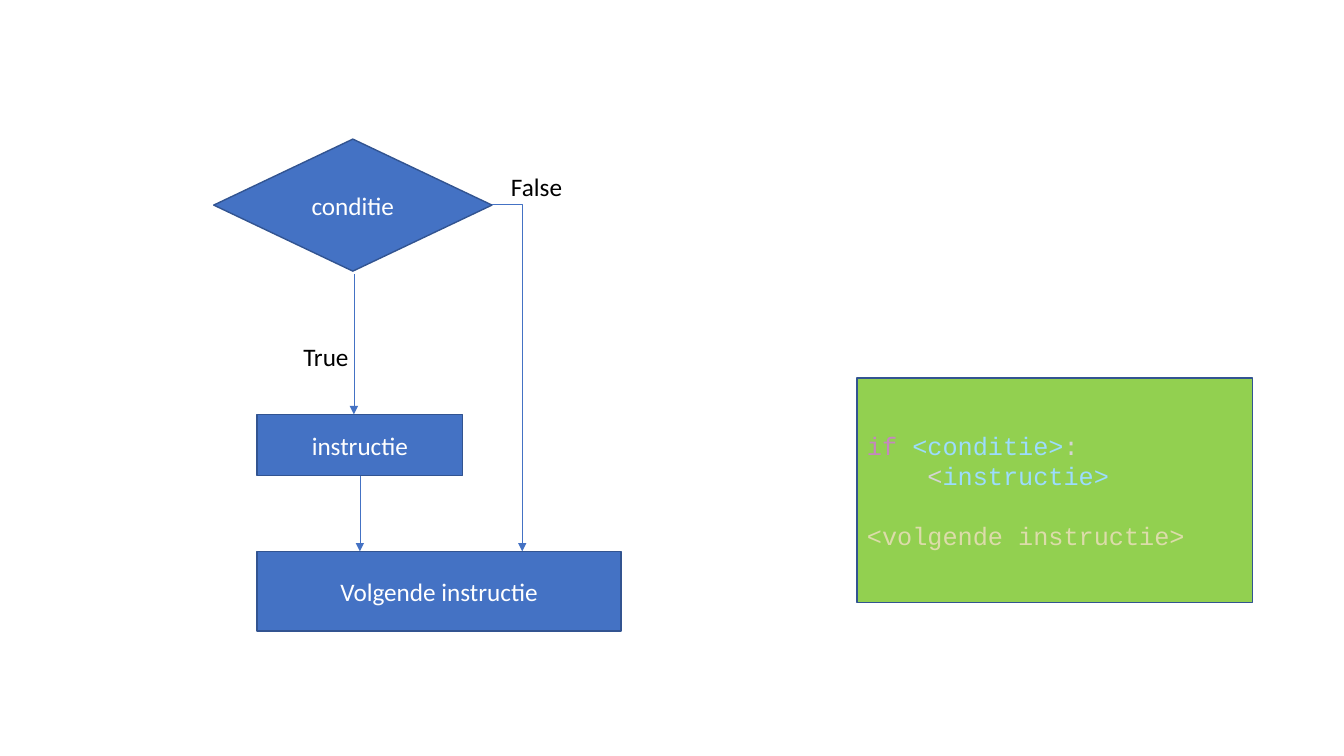
from pptx import Presentation
from pptx.dml.color import RGBColor
from pptx.enum.shapes import MSO_CONNECTOR as CONN, MSO_SHAPE as SHAPE
from pptx.enum.text import MSO_ANCHOR as ANCHOR, MSO_AUTO_SIZE as AUTO, PP_ALIGN as ALIGN
from pptx.oxml.ns import qn
from pptx.oxml.xmlchemy import OxmlElement
from pptx.util import Inches, Pt

BLUE = RGBColor(0x44, 0x72, 0xC4)
EDGE = RGBColor(0x32, 0x54, 0x91)
GREEN = RGBColor(0x92, 0xD0, 0x50)
WHITE = RGBColor(0xFF, 0xFF, 0xFF)
BLACK = RGBColor(0, 0, 0)
KEYWORD = RGBColor(0xC5, 0x86, 0xC0)
VARIABLE = RGBColor(0x9C, 0xDC, 0xFE)
PLAIN = RGBColor(0xD4, 0xD4, 0xD4)
FUNCTION = RGBColor(0xDC, 0xDC, 0xAA)

LINE_PITCH = Pt(21.4)
CODE = [
    (0, 0, [("if ", KEYWORD), ("<conditie>", VARIABLE), (":", PLAIN)]),
    (0.6, 0, [("<", PLAIN), ("instructie>", VARIABLE)]),
    (0, LINE_PITCH, [("<volgende instructie>", FUNCTION)]),
]


def set_font(p, name, color=None):
    """Give a paragraph its 18 point font and optional colour."""
    p.font.name, p.font.size = name, Pt(18)
    if color is not None:
        p.font.color.rgb = color


def add_block(slide, kind, left, top, width, height, fill=BLUE):
    """Add a filled, outlined shape and return it."""
    sp = slide.shapes.add_shape(kind, Inches(left), Inches(top), Inches(width), Inches(height))
    sp.shadow.inherit = False
    sp.fill.solid()
    sp.fill.fore_color.rgb = fill
    sp.line.color.rgb = EDGE
    sp.line.width = Pt(1)
    sp.text_frame.word_wrap = True
    sp.text_frame.vertical_anchor = ANCHOR.MIDDLE
    return sp


def add_step(slide, kind, text, *box):
    """Add a flowchart step with a centred caption."""
    p = add_block(slide, kind, *box).text_frame.paragraphs[0]
    p.text = text
    p.alignment = ALIGN.CENTER
    set_font(p, "Calibri", WHITE)


def add_label(slide, text, left, top, width, wrap):
    """Add a branch label."""
    tf = slide.shapes.add_textbox(Inches(left), Inches(top), Inches(width), Inches(0.4)).text_frame
    tf.word_wrap = wrap
    tf.auto_size = AUTO.SHAPE_TO_FIT_TEXT
    p = tf.paragraphs[0]
    p.text = text
    set_font(p, "Calibri", BLACK)


def add_arrow(slide, x1, y1, x2, y2, bent=False):
    """Add an arrow, straight or with a single right-angle bend."""
    kind = CONN.ELBOW if bent else CONN.STRAIGHT
    cxn = slide.shapes.add_connector(kind, Inches(x1), Inches(y1), Inches(x2), Inches(y2))
    cxn.line.color.rgb = BLUE
    cxn.line.width = Pt(0.5)
    tail = OxmlElement("a:tailEnd")
    tail.set("type", "triangle")
    cxn.line._get_or_add_ln().append(tail)
    sp_pr = cxn._element.spPr
    sp_pr.append(OxmlElement("a:effectLst"))
    if bent:
        sp_pr.find(qn("a:prstGeom")).set("prst", "bentConnector2")


def add_flowchart(slide, left, top):
    """Draw the if flowchart from its top left corner."""
    box_left, middle = left + 0.43, top + 0.65
    step_top, next_top = top + 2.73, top + 4.09
    add_step(slide, SHAPE.FLOWCHART_DECISION, "conditie", left, top, 2.76, 1.31)
    add_arrow(slide, left + 1.39, top + 1.34, left + 1.39, step_top)
    add_arrow(slide, left + 2.76, middle, left + 3.06, next_top, bent=True)
    add_step(slide, SHAPE.RECTANGLE, "instructie", box_left, step_top, 2.04, 0.61)
    add_label(slide, "True", left + 0.79, top + 1.96, 0.66, False)
    add_label(slide, "False", left + 2.85, top + 0.27, 1, True)
    add_arrow(slide, left + 1.45, step_top + 0.61, left + 1.45, next_top)
    add_step(slide, SHAPE.RECTANGLE, "Volgende instructie", box_left, next_top, 3.61, 0.79)


def add_code(slide, left, top, width, height):
    """Draw the code panel with coloured syntax."""
    tf = add_block(slide, SHAPE.RECTANGLE, left, top, width, height, GREEN).text_frame
    for i, (indent, gap, runs) in enumerate(CODE):
        p = tf.add_paragraph() if i else tf.paragraphs[0]
        p.alignment = ALIGN.LEFT
        p.line_spacing = LINE_PITCH
        p.space_before = gap
        p._p.get_or_add_pPr().set("marL", str(Inches(indent)))
        set_font(p, "Courier New")
        for text, color in runs:
            r = p.add_run()
            r.text = text
            r.font.color.rgb = color


def main():
    """Build and save the slide."""
    prs = Presentation()
    prs.slide_width, prs.slide_height = Inches(13.33), Inches(7.5)
    slide = prs.slides.add_slide(prs.slide_layouts[6])
    add_flowchart(slide, 2.12, 1.38)
    add_code(slide, 8.5, 3.75, 3.92, 2.23)
    prs.save("out.pptx")


if __name__ == "__main__":
    main()
